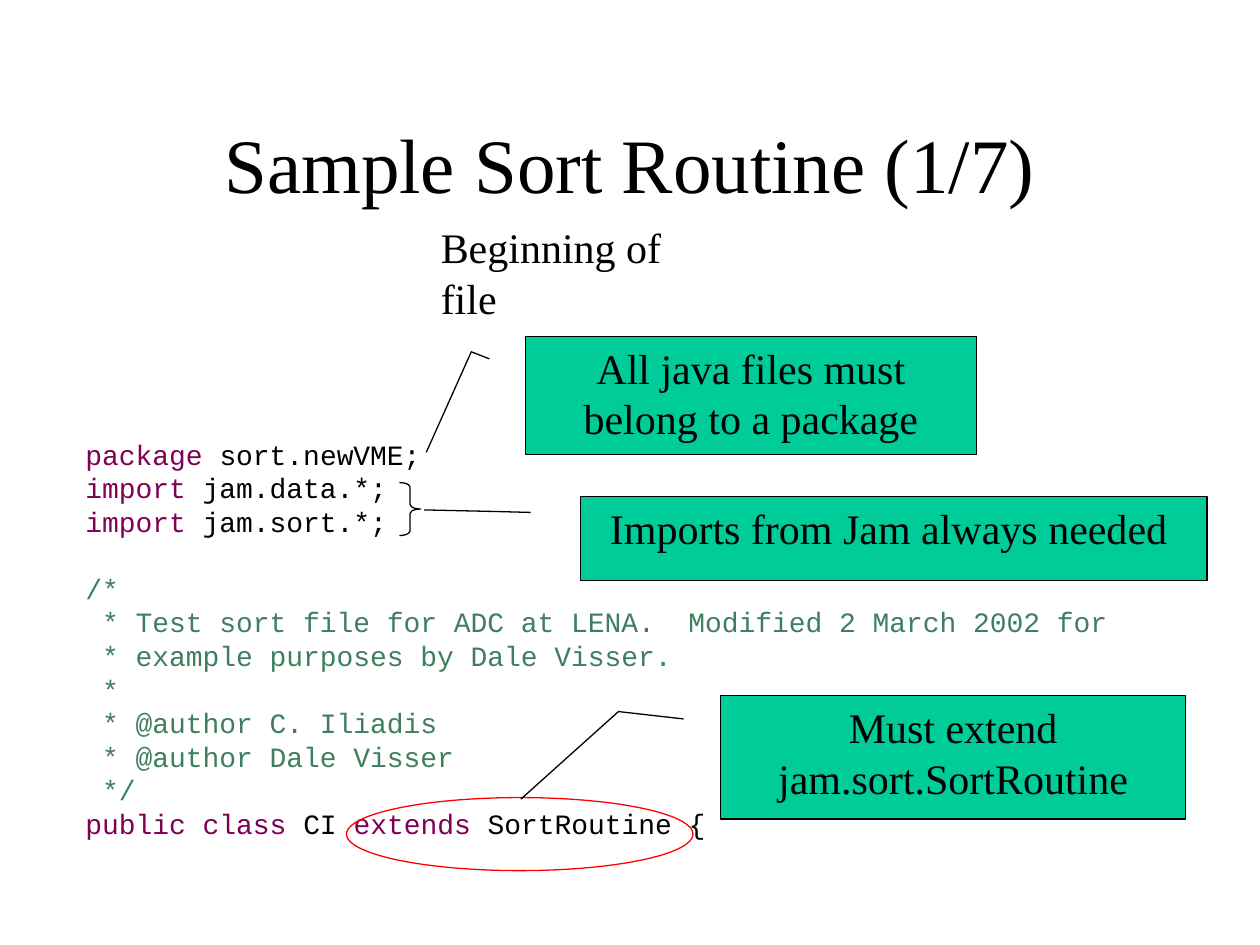
"""Build the slide on the opening lines of a sort routine."""
from dataclasses import dataclass

from pptx import Presentation
from pptx.dml.color import RGBColor
from pptx.enum.shapes import MSO_SHAPE
from pptx.enum.text import MSO_ANCHOR, PP_ALIGN
from pptx.util import Inches, Pt

BOX = MSO_SHAPE.LINE_CALLOUT_2
BRACE = MSO_SHAPE.RIGHT_BRACE
OVAL = MSO_SHAPE.OVAL
TOP, MID = MSO_ANCHOR.TOP, MSO_ANCHOR.MIDDLE
LEFT, CENTER = PP_ALIGN.LEFT, PP_ALIGN.CENTER
SERIF, MONO = "Times New Roman", "Courier New"
COLORS = {"text": "000000", "key": "7F0055", "note": "3F7F5F",
          "box": "00CC99", "ring": "FF0000"}


@dataclass
class Mark:
    kind: int
    area: tuple
    bends: tuple = ()
    text: str = ""
    fill: str = ""
    line: str = "text"


@dataclass
class Line:
    words: list
    gap: float = 0


def rgb(name: str) -> RGBColor:
    return RGBColor.from_string(COLORS[name])


def style(run, size: float, face: str = SERIF, color: str = "text") -> None:
    run.font.size = Pt(size)
    run.font.name = face
    run.font.color.rgb = rgb(color)


def write(shape, text: str, size: float, align=CENTER) -> None:
    shape.text_frame.text = text
    para = shape.text_frame.paragraphs[0]
    para.alignment = align
    style(para.runs[0], size)


def draw(slide, mark: Mark) -> None:
    shape = slide.shapes.add_shape(mark.kind, *map(Inches, mark.area))
    shape.shadow.inherit = False
    for i, bend in enumerate(mark.bends):
        shape.adjustments[i] = bend
    if mark.fill:
        shape.fill.solid()
        shape.fill.fore_color.rgb = rgb(mark.fill)
    else:
        shape.fill.background()
    shape.line.color.rgb = rgb(mark.line)
    shape.line.width = Pt(0.74)
    if mark.text:
        write(shape, mark.text, 24)
        shape.text_frame.vertical_anchor = TOP


def list_code(slide, lines: list[Line]) -> None:
    area = map(Inches, (0.58, 3.42, 9, 3.3))
    frame = slide.shapes.add_textbox(*area).text_frame
    frame.word_wrap = True
    for i, line in enumerate(lines):
        para = frame.add_paragraph() if i else frame.paragraphs[0]
        para.space_before = Pt(line.gap)
        para.line_spacing = Pt(19.2)
        for text, color in line.words:
            run = para.add_run()
            run.text = text
            style(run, 16, MONO, color)


NOTES = [" * Test sort file for ADC at LENA.  Modified 2 March 2002 for ",
         " * example purposes by Dale Visser.", " *",
         " * @author C. Iliadis", " * @author Dale Visser", " */"]
CODE = [
    Line([("package ", "key"), ("sort.newVME;", "text")]),
    *[Line([("import ", "key"), (f"jam.{name}.*;", "text")])
      for name in ("data", "sort")],
    Line([("/*", "note")], 19.2),
    *[Line([(note, "note")]) for note in NOTES],
    Line([("public class ", "key"), ("CI ", "text"),
          ("extends ", "key"), ("SortRoutine {", "text")]),
]
MARKS = [
    Mark(BOX, (4.17, 2.67, 3.58, 0.94),
         (0.19, -0.08, 0.13, -0.12, 0.98, -0.22),
         "All java files must belong to a package", "box"),
    Mark(BRACE, (3.17, 3.83, 0.17, 0.42), (0.21, 0.5)),
    Mark(BOX, (4.61, 3.94, 4.97, 0.67),
         (0.19, -0.08, 0.18, -0.13, 0.16, -0.25),
         "Imports from Jam always needed ", "box"),
    Mark(OVAL, (2.75, 6.33, 2.75, 0.58), line="ring"),
    Mark(BOX, (5.72, 5.52, 3.69, 0.98),
         (0.19, -0.08, 0.13, -0.22, 0.84, -0.43),
         "Must extend jam.sort.SortRoutine", "box"),
]

deck = Presentation()
deck.slide_width, deck.slide_height = Inches(10), Inches(7.5)
slide = deck.slides.add_slide(deck.slide_layouts[5])
list_code(slide, CODE)
title = slide.shapes.title
title.left, title.top = Inches(0.75), Inches(0.67)
title.width, title.height = Inches(8.5), Inches(1.25)
write(title, "Sample Sort Routine (1/7)", 44)
title.text_frame.vertical_anchor = MID
head = slide.shapes.add_textbox(*map(Inches, (3.4, 1.71, 2.47, 0.5)))
write(head, "Beginning of file", 24, LEFT)
for mark in MARKS:
    draw(slide, mark)
deck.save("out.pptx")
